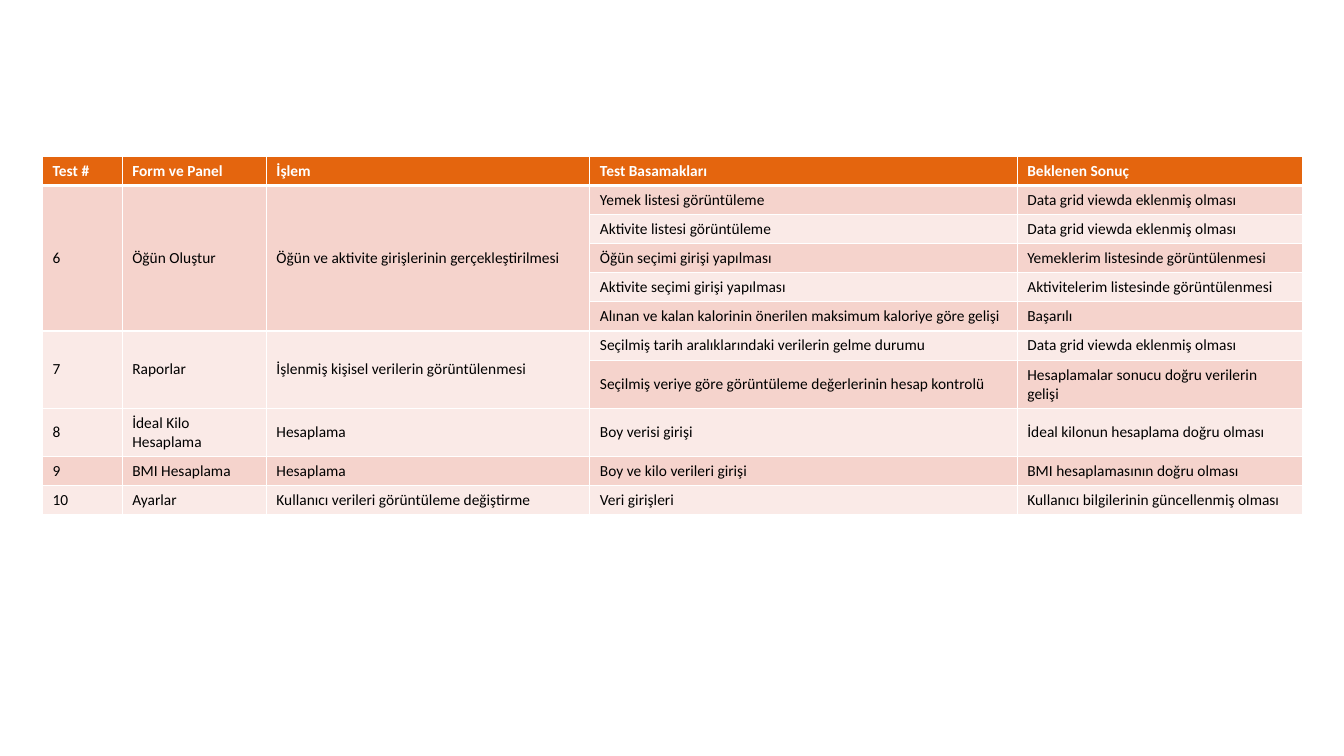
from dataclasses import dataclass

from lxml.etree import SubElement
from pptx import Presentation
from pptx.dml.color import RGBColor
from pptx.enum.text import MSO_ANCHOR
from pptx.oxml.ns import qn
from pptx.table import Table, _Cell
from pptx.util import Pt

WHITE = RGBColor(0xFF, 0xFF, 0xFF)
BLACK = RGBColor(0x00, 0x00, 0x00)
ORANGE = RGBColor(0xE4, 0x65, 0x0E)
DARK_BAND = RGBColor(0xF5, 0xD3, 0xCC)
LIGHT_BAND = RGBColor(0xFA, 0xEA, 0xE7)

HEADINGS = ("Test #", "Form ve Panel", "İşlem", "Test Basamakları", "Beklenen Sonuç")
COLUMN_WIDTHS = (56.9, 103, 231.1, 305.3, 203.7)
ROW_HEIGHT = 15.12
TABLE_LEFT, TABLE_TOP, TABLE_HEIGHT = 30.4, 111.6, 237.6


@dataclass(frozen=True)
class Step:
    action: str
    expected: str


@dataclass(frozen=True)
class TestCase:
    number: int
    form: str
    operation: str
    steps: tuple[Step, ...]


TEST_CASES = (
    TestCase(6, "Öğün Oluştur", "Öğün ve aktivite girişlerinin gerçekleştirilmesi", (
        Step("Yemek listesi görüntüleme", "Data grid viewda eklenmiş olması"),
        Step("Aktivite listesi görüntüleme", "Data grid viewda eklenmiş olması"),
        Step("Öğün seçimi girişi yapılması", "Yemeklerim listesinde görüntülenmesi"),
        Step("Aktivite seçimi girişi yapılması", "Aktivitelerim listesinde görüntülenmesi"),
        Step("Alınan ve kalan kalorinin önerilen maksimum kaloriye göre gelişi", "Başarılı"),
    )),
    TestCase(7, "Raporlar", "İşlenmiş kişisel verilerin görüntülenmesi", (
        Step("Seçilmiş tarih aralıklarındaki verilerin gelme durumu",
             "Data grid viewda eklenmiş olması"),
        Step("Seçilmiş veriye göre görüntüleme değerlerinin hesap kontrolü",
             "Hesaplamalar sonucu doğru verilerin gelişi"),
    )),
    TestCase(8, "İdeal Kilo Hesaplama", "Hesaplama", (
        Step("Boy verisi girişi", "İdeal kilonun hesaplama doğru olması"),
    )),
    TestCase(9, "BMI Hesaplama", "Hesaplama", (
        Step("Boy ve kilo verileri girişi", "BMI hesaplamasının doğru olması"),
    )),
    TestCase(10, "Ayarlar", "Kullanıcı verileri görüntüleme değiştirme", (
        Step("Veri girişleri", "Kullanıcı bilgilerinin güncellenmiş olması"),
    )),
)


def add_borders(cell: _Cell, top: float, bottom: float) -> None:
    """Draw white borders, 1 pt wide at the sides."""
    properties = cell._tc.get_or_add_tcPr()
    for side, width in (("L", 1), ("R", 1), ("T", top), ("B", bottom)):
        border = SubElement(properties, qn(f"a:ln{side}"), w=str(Pt(width)))
        fill = SubElement(border, qn("a:solidFill"))
        SubElement(fill, qn("a:srgbClr"), val=str(WHITE))


def format_cell(cell: _Cell, row: int) -> None:
    is_heading = row == 0
    add_borders(cell, top=3 if row == 1 else 1, bottom=3 if is_heading else 1)
    cell.fill.solid()
    band = DARK_BAND if row % 2 else LIGHT_BAND
    cell.fill.fore_color.rgb = ORANGE if is_heading else band
    cell.vertical_anchor = MSO_ANCHOR.MIDDLE
    font = cell.text_frame.paragraphs[0].font
    font.name = "Calibri"
    font.size = Pt(11)
    font.bold = is_heading
    font.color.rgb = WHITE if is_heading else BLACK


def write_row(table: Table, row: int, first_column: int, texts: tuple[str, ...]) -> None:
    for column, text in enumerate(texts, first_column):
        table.cell(row, column).text = text


def fill_table(table: Table) -> None:
    write_row(table, 0, 0, HEADINGS)
    row = 1
    for case in TEST_CASES:
        last_row = row + len(case.steps) - 1
        write_row(table, row, 0, (str(case.number), case.form, case.operation))
        if last_row > row:
            for column in range(3):
                table.cell(row, column).merge(table.cell(last_row, column))
        for step_row, step in enumerate(case.steps, row):
            write_row(table, step_row, 3, (step.action, step.expected))
        row = last_row + 1


def main() -> None:
    presentation = Presentation()
    presentation.slide_width = Pt(960)
    presentation.slide_height = Pt(540)
    slide = presentation.slides.add_slide(presentation.slide_layouts[6])

    row_count = 1 + sum(len(case.steps) for case in TEST_CASES)
    frame = slide.shapes.add_table(
        row_count, len(HEADINGS), Pt(TABLE_LEFT), Pt(TABLE_TOP),
        Pt(sum(COLUMN_WIDTHS)), Pt(TABLE_HEIGHT))
    test_table = frame.table
    for column, width in zip(test_table.columns, COLUMN_WIDTHS):
        column.width = Pt(width)
    for row in test_table.rows:
        row.height = Pt(ROW_HEIGHT)
    frame.height = Pt(TABLE_HEIGHT)

    fill_table(test_table)
    for row in range(row_count):
        for column in range(len(HEADINGS)):
            format_cell(test_table.cell(row, column), row)

    presentation.save("out.pptx")


if __name__ == "__main__":
    main()
